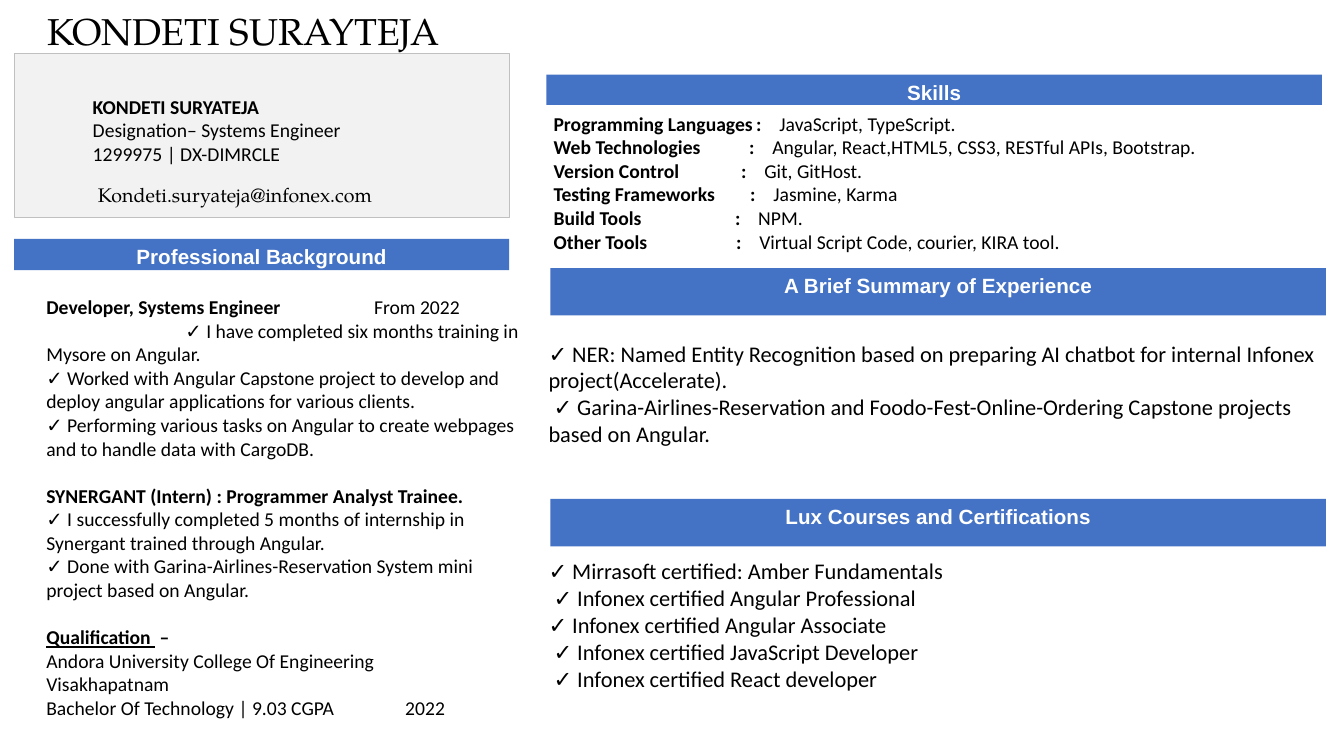
from dataclasses import dataclass

from lxml.etree import SubElement
from pptx import Presentation
from pptx.dml.color import RGBColor
from pptx.enum.shapes import MSO_SHAPE
from pptx.enum.text import MSO_ANCHOR, MSO_AUTO_SIZE, PP_ALIGN
from pptx.oxml.ns import qn
from pptx.util import Inches, Pt

COLORS = {
    "text": "000000",
    "banner": "4472C4",
    "banner_text": "FFFFFF",
    "card": "F2F2F2",
    "card_line": "C0C0C0",
}
SERIF = "TeX Gyre Pagella"
BREAK = "\v"


@dataclass
class Line:
    """One paragraph: runs are (text, style) pairs, style holds b and/or u."""
    runs: list
    tabs: tuple = ()
    before: float = 0
    indent: float = 0


def plain(text, **layout):
    return Line([(text, "")], **layout)


def bold(text, **layout):
    return Line([(text, "b")], **layout)


BACKGROUND = [
    Line([("Developer, Systems Engineer", "b"), ("\tFrom 2022", ""), (BREAK, ""),
          ("\t✓ I have completed six months training in Mysore on Angular.", "")],
         tabs=(1.38, 3.25)),
    plain("✓ Worked with Angular Capstone project to develop and deploy angular "
          "applications for various clients."),
    plain("✓ Performing various tasks on Angular to create webpages and to handle "
          "data with CargoDB."),
    bold("SYNERGANT (Intern) : Programmer Analyst Trainee.", before=17),
    plain("✓ I successfully completed 5 months of internship in Synergant trained "
          "through Angular."),
    plain("✓ Done with Garina-Airlines-Reservation System mini project based on Angular."),
    Line([("Qualification ", "bu"), (" –", "b")], before=17),
    plain("Andora University College Of Engineering"),
    plain("Visakhapatnam"),
    plain("Bachelor Of Technology | 9.03 CGPA\t2022", tabs=(3.56,)),
]

# Label, value, distance of the colon from the label's start
SKILLS = [
    ("Programming Languages", "JavaScript, TypeScript.", 2.01),
    ("Web Technologies", "Angular, React,HTML5, CSS3, RESTful APIs, Bootstrap.", 1.94),
    ("Version Control", "Git, GitHost.", 1.86),
    ("Testing Frameworks", "Jasmine, Karma", 1.95),
    ("Build Tools", "NPM.", 1.8),
    ("Other Tools", "Virtual Script Code, courier, KIRA tool.", 1.81),
]

SUMMARY = [
    plain("✓ NER: Named Entity Recognition based on preparing AI chatbot for internal "
          "Infonex project(Accelerate)."),
    plain("✓ Garina-Airlines-Reservation and Foodo-Fest-Online-Ordering Capstone "
          "projects based on Angular.", indent=0.05),
]

CERTIFICATIONS = [
    plain("✓ Mirrasoft certified: Amber Fundamentals"),
    plain("✓ Infonex certified Angular Professional", indent=0.05),
    plain("✓ Infonex certified Angular Associate"),
    plain("✓ Infonex certified JavaScript Developer", indent=0.05),
    plain("✓ Infonex certified React developer", indent=0.05),
]

BANNERS = [
    ("Professional Background", (0.14, 2.37, 4.91, 0.31)),
    ("Skills", (5.42, 0.74, 7.69, 0.3)),
    ("A Brief Summary of Experience", (5.46, 2.66, 7.69, 0.47)),
    ("Lux Courses and Certifications", (5.46, 4.95, 7.69, 0.47)),
]


def rgb(name):
    return RGBColor.from_string(COLORS[name])


def write_text(holder, lines, *, size, font="Calibri", color="text", insets=(0, 0),
               align=PP_ALIGN.LEFT, anchor=MSO_ANCHOR.TOP, spacing=1.0):
    """Fill a shape with lines; insets are its left and right margins."""
    frame = holder.text_frame
    frame.word_wrap = True
    frame.auto_size = MSO_AUTO_SIZE.NONE
    frame.vertical_anchor = anchor
    frame.margin_left, frame.margin_right = map(Inches, insets)
    frame.margin_top = frame.margin_bottom = Inches(0.05)
    for number, line in enumerate(lines):
        paragraph = frame.add_paragraph() if number else frame.paragraphs[0]
        paragraph.alignment = align
        paragraph.line_spacing = spacing
        paragraph.space_before = Pt(line.before)
        paragraph.space_after = Pt(0)
        set_indent_or_tabs(paragraph, line)
        for text, style in line.runs:
            if text == BREAK:
                paragraph.add_line_break()
                continue
            run = paragraph.add_run()
            run.text = text
            run.font.size = Pt(size)
            run.font.name = font
            run.font.color.rgb = rgb(color)
            run.font.bold = "b" in style
            run.font.underline = "u" in style


def set_indent_or_tabs(paragraph, line):
    """An explicit indent makes LibreOffice drop tab stops, so set only one."""
    properties = paragraph._p.get_or_add_pPr()
    if line.tabs:
        stops = SubElement(properties, qn("a:tabLst"))
        for position in line.tabs:
            SubElement(stops, qn("a:tab"), pos=str(Inches(position)), algn="l")
    else:
        properties.set("marL", "0")
        properties.set("indent", str(Inches(line.indent)))
        SubElement(properties, qn("a:buNone"))


def place(holder, box):
    holder.left, holder.top, holder.width, holder.height = map(Inches, box)
    return holder


def add_text(slide, box, lines, **style):
    write_text(slide.shapes.add_textbox(*map(Inches, box)), lines, **style)


def add_box(slide, box, fill, line=None):
    panel = slide.shapes.add_shape(MSO_SHAPE.RECTANGLE, *map(Inches, box))
    panel.shadow.inherit = False
    panel.fill.solid()
    panel.fill.fore_color.rgb = rgb(fill)
    if line:
        panel.line.color.rgb = rgb(line)
        panel.line.width = Pt(0.25)
    else:
        panel.line.fill.background()
    return panel


def add_banner(slide, heading, box):
    write_text(add_box(slide, box, "banner"), [bold(heading)], size=14.7, font="Arial",
               color="banner_text", align=PP_ALIGN.CENTER)


def add_contact_card(slide):
    add_box(slide, (0.14, 0.53, 4.91, 1.63), "card", "card_line")
    add_text(slide, (0.92, 0.89, 4.1, 0.81),
             [bold("KONDETI SURYATEJA"), plain("Designation– Systems Engineer"),
              plain("1299975 | DX-DIMRCLE")], size=14, insets=(0, 0.11))
    add_text(slide, (0.86, 1.77, 3.12, 0.34), [plain("Kondeti.suryateja@infonex.com")],
             size=14, font=SERIF, insets=(0.11, 0.11))


def skill_line(label, value, colon):
    return Line([(f"{label}\t:", "b"), (f"\t{value}", "")], tabs=(colon, colon + 0.23))


def main():
    deck = Presentation()
    deck.slide_width, deck.slide_height = Inches(13.33), Inches(7.5)
    slide = deck.slides.add_slide(deck.slide_layouts.get_by_name("Two Content"))

    # Title
    title = place(slide.shapes.title, (0.37, 0, 4.69, 0.66))
    write_text(title, [plain("KONDETI SURAYTEJA")], size=26.7, font=SERIF,
               insets=(0.1, 0.1), anchor=MSO_ANCHOR.MIDDLE, spacing=0.9)

    # Check lists in the body placeholders
    summary = place(slide.placeholders[1], (5.44, 3.32, 7.71, 1.2))
    write_text(summary, SUMMARY, size=16)
    certifications = place(slide.placeholders[2], (5.44, 5.48, 7.71, 1.5))
    write_text(certifications, CERTIFICATIONS, size=16)

    # Tabbed text
    add_text(slide, (0.46, 2.88, 4.77, 4.43), BACKGROUND, size=14)
    add_text(slide, (5.44, 1.06, 7.89, 1.49), [skill_line(*skill) for skill in SKILLS],
             size=14, insets=(0.05, 0.05))

    # Contact card and section banners
    add_contact_card(slide)
    for heading, box in BANNERS:
        add_banner(slide, heading, box)

    deck.save("out.pptx")


if __name__ == "__main__":
    main()
